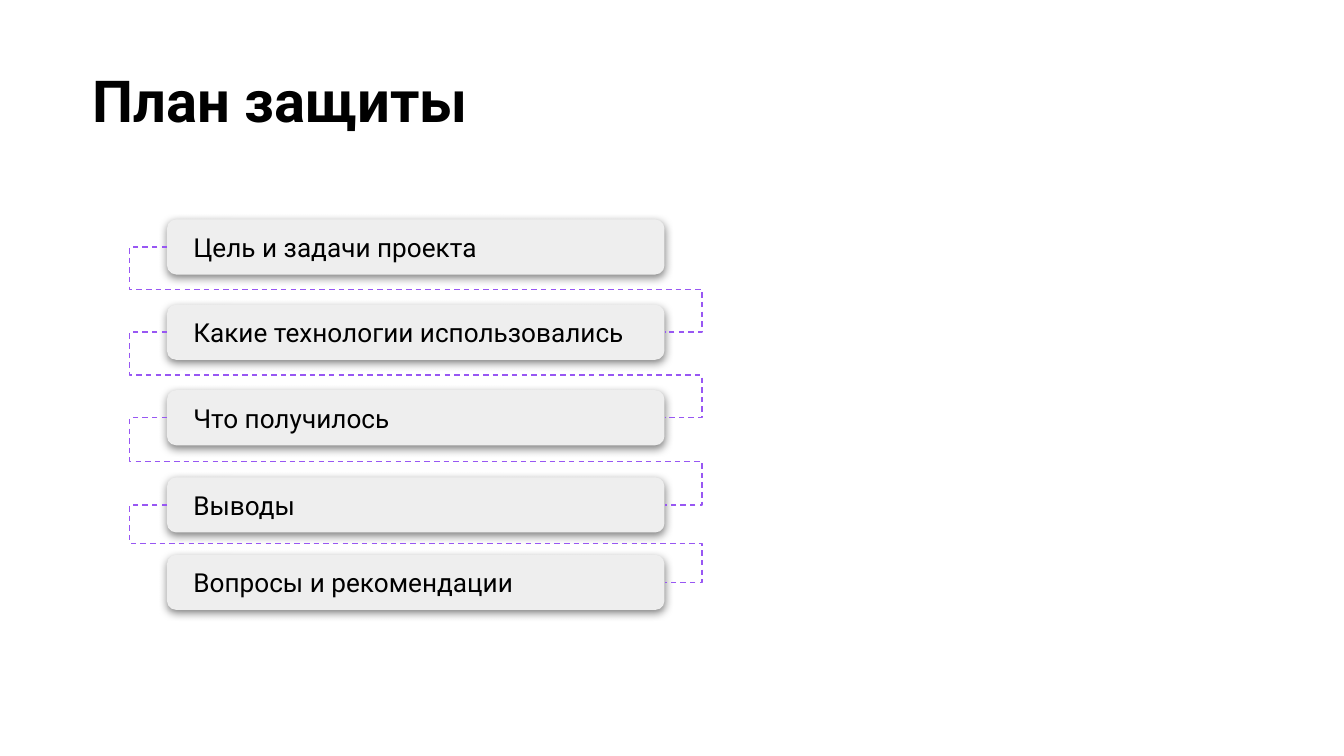
from dataclasses import dataclass
from itertools import pairwise

from lxml.etree import SubElement
from pptx import Presentation
from pptx.dml.color import RGBColor
from pptx.enum.dml import MSO_LINE
from pptx.enum.shapes import MSO_SHAPE
from pptx.enum.text import MSO_ANCHOR, MSO_AUTO_SIZE, PP_ALIGN
from pptx.oxml.ns import qn
from pptx.shapes.autoshape import Shape
from pptx.slide import Slide
from pptx.text.text import TextFrame
from pptx.util import Pt

BLACK = RGBColor(0x00, 0x00, 0x00)
CARD_GREY = RGBColor(0xEE, 0xEE, 0xEE)
PURPLE = RGBColor(0x98, 0x57, 0xF3)
FONT = "Roboto"

CARD_LEFT, CARD_WIDTH, CARD_HEIGHT = 89.5, 266.5, 29.5
CARD_RIGHT = CARD_LEFT + CARD_WIDTH
LABEL_INDENT, LABEL_HEIGHT = 7, 31.5
LINK_OVERHANG = 20


@dataclass(frozen=True)
class Step:
    label: str
    middle: float  # vertical centre of the card, in points


STEPS = [
    Step("Цель и задачи проекта", 132.3),
    Step("Какие технологии использовались", 178),
    Step("Что получилось", 223.8),
    Step("Выводы", 270.5),
    Step("Вопросы и рекомендации", 312),
]


def write_text(frame: TextFrame, text: str, *, size: float, bold: bool = False,
               anchor: MSO_ANCHOR = MSO_ANCHOR.TOP) -> None:
    frame.word_wrap = True
    frame.auto_size = MSO_AUTO_SIZE.NONE
    frame.vertical_anchor = anchor
    frame.margin_left = frame.margin_right = Pt(7.2)
    frame.margin_top = frame.margin_bottom = Pt(7.2)
    paragraph = frame.paragraphs[0]
    paragraph.alignment = PP_ALIGN.LEFT
    run = paragraph.add_run()
    run.text = text
    run.font.name = FONT
    run.font.size = Pt(size)
    run.font.bold = bold
    run.font.color.rgb = BLACK


def add_soft_shadow(card: Shape) -> None:
    card.shadow.inherit = False
    effects = card._element.spPr.find(qn("a:effectLst"))
    shadow = SubElement(effects, qn("a:outerShdw"), blurRad=str(Pt(5)),
                        dist=str(Pt(1.5)), dir="5400000", algn="bl", rotWithShape="0")
    colour = SubElement(shadow, qn("a:srgbClr"), val=str(BLACK))
    SubElement(colour, qn("a:alpha"), val="50000")


def add_step(slide: Slide, step: Step) -> None:
    group = slide.shapes.add_group_shape()
    card = group.shapes.add_shape(
        MSO_SHAPE.ROUNDED_RECTANGLE, Pt(CARD_LEFT), Pt(step.middle - CARD_HEIGHT / 2),
        Pt(CARD_WIDTH), Pt(CARD_HEIGHT))
    card.adjustments[0] = 0.167
    card.fill.solid()
    card.fill.fore_color.rgb = CARD_GREY
    card.line.fill.background()
    add_soft_shadow(card)
    label = group.shapes.add_textbox(
        Pt(CARD_LEFT + LABEL_INDENT), Pt(step.middle - LABEL_HEIGHT / 2),
        Pt(CARD_WIDTH - 2 * LABEL_INDENT), Pt(LABEL_HEIGHT))
    write_text(label.text_frame, step.label, size=14, anchor=MSO_ANCHOR.MIDDLE)


def add_link(slide: Slide, upper: Step, lower: Step) -> None:
    """Run a dashed line from the upper card's left side to the lower card's right side."""
    gap_middle = (upper.middle + lower.middle) / 2
    outer_left, outer_right = CARD_LEFT - LINK_OVERHANG, CARD_RIGHT + LINK_OVERHANG
    corners = [
        (outer_left, upper.middle),
        (outer_left, gap_middle),
        (outer_right, gap_middle),
        (outer_right, lower.middle),
        (CARD_RIGHT, lower.middle),
    ]
    builder = slide.shapes.build_freeform(Pt(CARD_LEFT), Pt(upper.middle))
    builder.add_line_segments([(Pt(x), Pt(y)) for x, y in corners], close=False)
    link = builder.convert_to_shape()
    link.shadow.inherit = False
    link.fill.background()
    link.line.color.rgb = PURPLE
    link.line.width = Pt(0.75)
    link.line.dash_style = MSO_LINE.DASH


def main() -> None:
    presentation = Presentation()
    presentation.slide_width, presentation.slide_height = Pt(720), Pt(405)
    slide = presentation.slides.add_slide(presentation.slide_layouts[5])

    title = slide.shapes.title
    title.left, title.top, title.width, title.height = Pt(42.5), Pt(27.5), Pt(671), Pt(52)
    write_text(title.text_frame, "План защиты", size=31, bold=True)

    for step in STEPS:
        add_step(slide, step)
    for upper, lower in pairwise(STEPS):
        add_link(slide, upper, lower)

    presentation.save("out.pptx")


if __name__ == "__main__":
    main()
